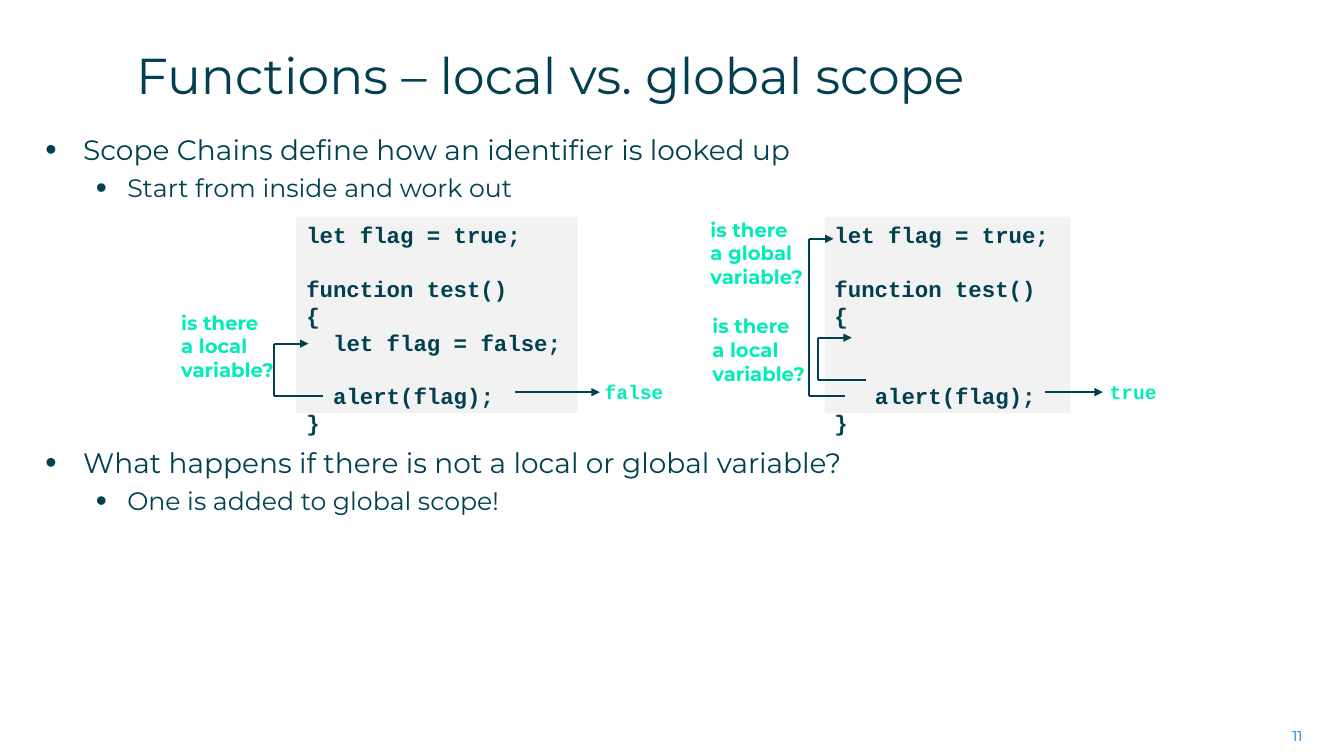
from dataclasses import dataclass
from itertools import pairwise

from lxml.etree import SubElement
from pptx import Presentation
from pptx.dml.color import RGBColor as RGB
from pptx.enum.shapes import MSO_CONNECTOR as CONN, MSO_SHAPE as SHAPE
from pptx.enum.text import MSO_ANCHOR as ANCHOR, MSO_AUTO_SIZE as FIT, PP_ALIGN as ALIGN
from pptx.oxml.ns import qn
from pptx.util import Pt


@dataclass(frozen=True)
class Theme:
    ink: str = "004050"
    accent: str = "00EDB5"
    panel: str = "F2F2F2"
    number: str = "0070C0"
    font: str = "Montserrat"
    mono: str = "Courier New"
    title: int = 36
    body: tuple = (20, 18)
    code: int = 16
    label: int = 14
    small: int = 10
    line: float = 1.5
    code_pitch: float = 19.15
    code_char: float = 9.6


class ScopeSlide:
    bullets = ((27, -27, 22, 115000), (58.5, -22.5, 14, 125000))

    def __init__(self, prs, theme):
        self.t = theme
        self.s = prs.slides.add_slide(prs.slide_layouts[1])

    def place(self, sp, box):
        sp.left, sp.top, sp.width, sp.height = map(Pt, box)

    def run(self, p, text, size, color, font=None, bold=False):
        r = p.add_run()
        r.text = text
        r.font.size = Pt(size)
        r.font.name = font or self.t.font
        r.font.bold = bold
        r.font.color.rgb = RGB.from_string(color)

    def frame(self, sp, anchor=ANCHOR.TOP):
        tf = sp.text_frame
        tf.word_wrap = True
        tf.auto_size = FIT.NONE
        tf.vertical_anchor = anchor
        return tf

    def title(self, text, box):
        sp = self.s.shapes.title
        self.place(sp, box)
        p = self.frame(sp, ANCHOR.BOTTOM).paragraphs[0]
        p.alignment = ALIGN.LEFT
        p.line_spacing = Pt(42)
        self.run(p, text, self.t.title, self.t.ink)

    def body(self, items, box):
        sp = self.s.placeholders[1]
        self.place(sp, box)
        tf = self.frame(sp)
        tf.margin_left = tf.margin_top = tf.margin_right = tf.margin_bottom = 0
        for i, (level, gap, text) in enumerate(items):
            p = tf.add_paragraph() if i else tf.paragraphs[0]
            margin, indent, pitch, scale = self.bullets[level]
            p.level = level
            p.line_spacing = Pt(pitch)
            p.space_before, p.space_after = Pt(6 + gap), Pt(6)
            self.bullet(p, margin, indent, scale)
            self.run(p, text, self.t.body[level], self.t.ink)

    def bullet(self, p, margin, indent, scale):
        pr = p._p.get_or_add_pPr()
        pr.set("marL", str(Pt(margin)))
        pr.set("indent", str(Pt(indent)))
        SubElement(SubElement(pr, qn("a:buClr")), qn("a:srgbClr"), val=self.t.ink)
        SubElement(pr, qn("a:buSzPct"), val=str(scale))
        SubElement(pr, qn("a:buFont"), typeface="Arial")
        SubElement(pr, qn("a:buChar"), char="•")

    def code(self, lines, box):
        sp = self.s.shapes.add_shape(SHAPE.RECTANGLE, *map(Pt, box))
        sp.shadow.inherit = False
        sp.fill.solid()
        sp.fill.fore_color.rgb = RGB.from_string(self.t.panel)
        sp.line.fill.background()
        tf = self.frame(sp)
        for i, (skipped, indent, text) in enumerate(lines):
            p = tf.add_paragraph() if i else tf.paragraphs[0]
            p.alignment = ALIGN.LEFT
            p.line_spacing = Pt(self.t.code_pitch)
            p.space_before = Pt(skipped * self.t.code_pitch)
            p._p.get_or_add_pPr().set("marL", str(Pt(indent * self.t.code_char)))
            self.run(p, text, self.t.code, self.t.ink, self.t.mono, True)

    def text(self, lines, box, size, color, font=None, bold=False,
             align=ALIGN.LEFT, anchor=ANCHOR.TOP):
        sp = self.s.shapes.add_textbox(*map(Pt, box))
        p = self.frame(sp, anchor).paragraphs[0]
        p.alignment = align
        for i, line in enumerate(lines):
            if i:
                p.add_line_break()
            self.run(p, line, size, color, font, bold)

    def label(self, lines, box):
        self.text(lines, box, self.t.label, self.t.accent, bold=True)

    def output(self, text, box):
        self.text([text], box, self.t.label, self.t.accent, self.t.mono, True)

    def line(self, shapes, start, end, arrow=False):
        c = shapes.add_connector(CONN.STRAIGHT, *map(Pt, (*start, *end)))
        c.line.color.rgb = RGB.from_string(self.t.ink)
        c.line.width = Pt(self.t.line)
        if arrow:
            SubElement(c.line._get_or_add_ln(), qn("a:tailEnd"), type="triangle")
        SubElement(c._element.spPr, qn("a:effectLst"))

    def arrow(self, x1, x2, y):
        self.line(self.s.shapes, (x1, y), (x2, y), True)

    def lookup(self, start, spine, tip, bottom, top):
        shapes = self.s.shapes.add_group_shape().shapes
        points = ((start, bottom), (spine, bottom), (spine, top), (tip, top))
        for a, b in pairwise(points):
            self.line(shapes, a, b, b == points[-1])


def main():
    prs = Presentation()
    prs.slide_width, prs.slide_height = Pt(960), Pt(540)
    theme = Theme()
    s = ScopeSlide(prs, theme)

    s.title("Functions – local vs. global scope", (90, 28.8, 841, 49.7))
    s.body((
        (0, 0, "Scope Chains define how an identifier is looked up"),
        (1, 0, "Start from inside and work out"),
        (0, 164, "What happens if there is not a local or global variable?"),
        (1, 0, "One is added to global scope!"),
    ), (32.4, 96.5, 897.8, 413.3))

    opening = ((0, 0, "let flag = true;"), (1, 0, "function test()"), (0, 0, "{"))
    closing = (0, 0, "}")
    s.code((*opening, (0, 2, "let flag = false;"), (1, 2, "alert(flag);"), closing),
           (211.7, 154.8, 200.9, 140.4))
    s.code((*opening, (2, 3, "alert(flag);"), closing),
           (589, 154.8, 175.7, 140.4))

    local = ("is there", "a local variable?")
    s.label(local, (122.4, 218.2, 88.6, 58.3))
    s.label(local, (501.8, 221, 88.6, 58.3))
    s.label(("is there", "a global variable?"), (500.4, 151.9, 94.3, 58.3))

    s.lookup(230.4, 195.8, 220.3, 283, 245.5)
    s.lookup(618.5, 584.6, 608.4, 271.4, 241.2)
    s.lookup(603.4, 578.2, 595.4, 283, 170.6)

    s.arrow(367.9, 428.4, 280.1)
    s.arrow(746.6, 787.7, 280.1)
    s.output("false", (424.8, 267.8, 58.3, 23.8))
    s.output("true", (785.5, 267.8, 49.7, 23.8))

    s.text(["11"], (713.5, 511.2, 223.9, 28.8), theme.small, theme.number,
           align=ALIGN.RIGHT, anchor=ANCHOR.MIDDLE)
    prs.save("out.pptx")


if __name__ == "__main__":
    main()
